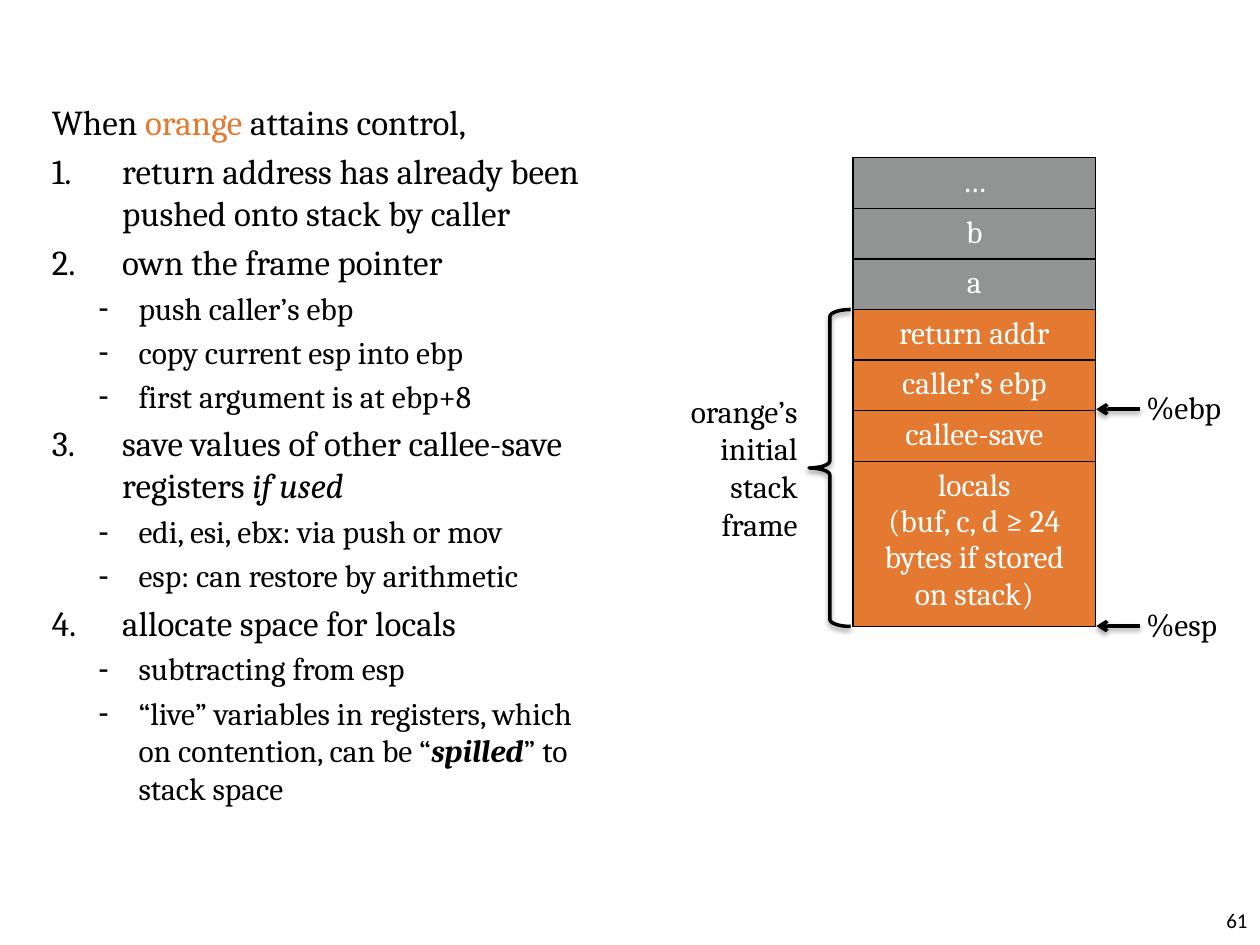
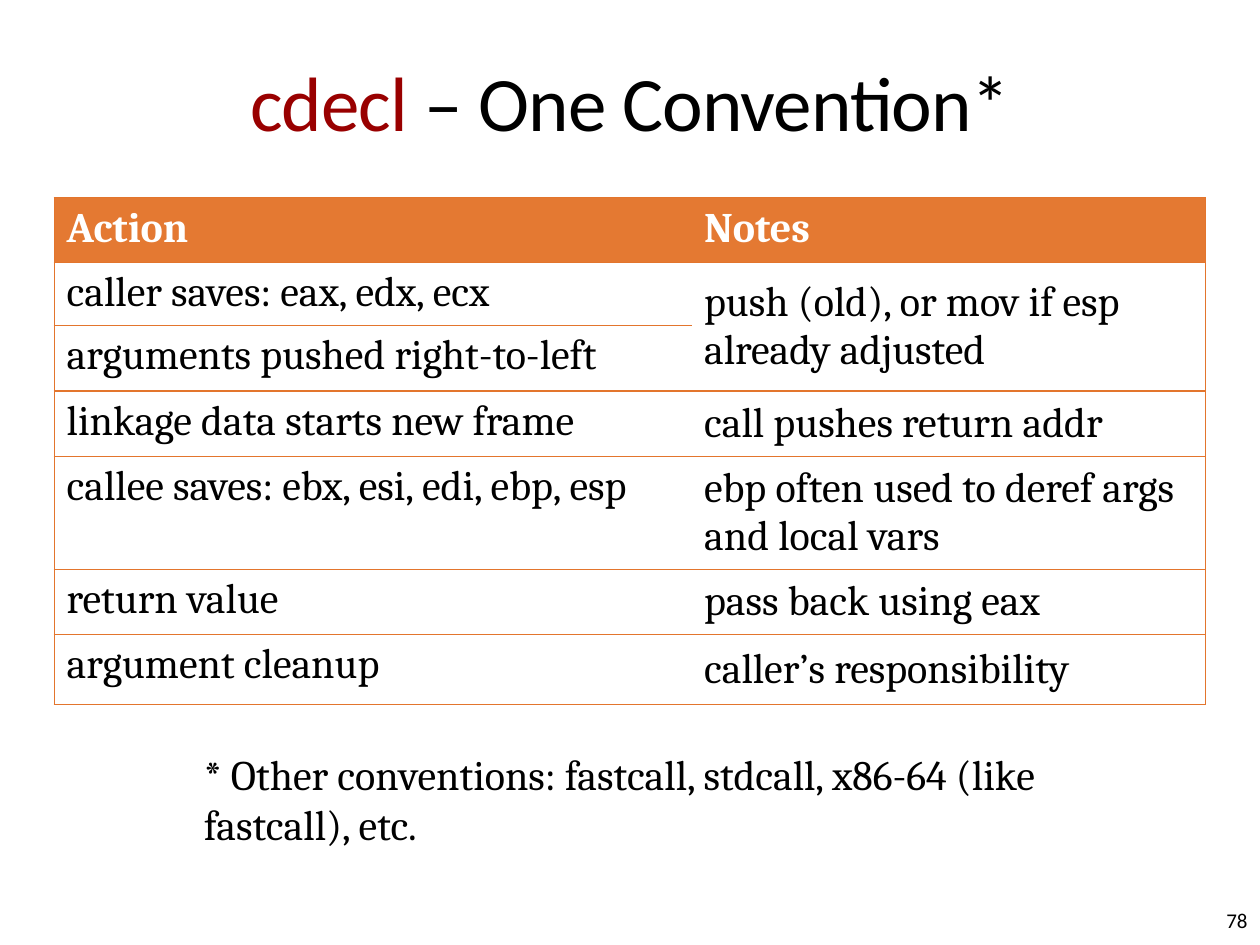
from lxml import etree
from pptx import Presentation
from pptx.dml.color import RGBColor
from pptx.enum.shapes import MSO_CONNECTOR, MSO_SHAPE
from pptx.enum.text import MSO_ANCHOR, MSO_AUTO_SIZE, PP_ALIGN
from pptx.oxml import parse_xml
from pptx.oxml.ns import nsdecls, qn
from pptx.util import Cm, Pt

BLACK, WHITE, GRAY, ORANGE = "000000", "FFFFFE", "929393", "E47932"
RULE, RED = "E3752D", "990000"
SERIF, SANS = "Cambria", "Calibri"

# Each step is a level and its runs: (text, color, style).
STEPS = [
    ("intro", [("When ", BLACK, ""), ("orange", ORANGE, ""),
               (" attains control,", BLACK, "")]),
    ("number", [("return address has already been pushed onto stack by caller", BLACK, "")]),
    ("number", [("own the frame pointer", BLACK, "")]),
    ("dash", [("push caller’s ebp", BLACK, "")]),
    ("dash", [("copy current esp into ebp", BLACK, "")]),
    ("dash", [("first argument is at ebp+8", BLACK, "")]),
    ("number", [("save values of other callee-save registers ", BLACK, ""),
                ("if used", BLACK, "i")]),
    ("dash", [("edi, esi, ebx: via push or mov", BLACK, "")]),
    ("dash", [("esp: can restore by arithmetic", BLACK, "")]),
    ("number", [("allocate space for locals", BLACK, "")]),
    ("dash", [("subtracting from esp", BLACK, "")]),
    ("dash", [("“live” variables in registers, which on contention, can be “", BLACK, ""),
              ("spilled", BLACK, "bi"), ("” to stack space", BLACK, "")]),
]
# Level: outline level, size, left margin, first-line indent, bullet XML.
LEVELS = {
    "intro": (0, 20, 0.81, -0.81, "<a:buNone {}/>"),
    "number": (0, 20, 1.42, -1.42, '<a:buAutoNum {} type="arabicPeriod"/>'),
    "dash": (1, 18, 1.75, -0.81, '<a:buChar {} char="-"/>'),
}
STACK = [
    ("…", GRAY), ("b", GRAY), ("a", GRAY), ("return addr", ORANGE),
    ("caller’s ebp", ORANGE), ("callee-save", ORANGE),
    ("locals\n(buf, c, d ≥ 24 bytes if stored on stack)", ORANGE),
]
STACK_LEFT, STACK_TOP, STACK_WIDTH = 17.2, 3.18, 4.88
SLOT, LOCALS_HEIGHT = 1.02, 3.33
CONVENTION = [
    ("Action", "Notes"),
    ("caller saves: eax, edx, ecx", "push (old), or mov if esp already adjusted"),
    ("arguments pushed right-to-left", ""),
    ("linkage data starts new frame", "call pushes return addr"),
    ("callee saves: ebx, esi, edi, ebp, esp", "ebp often used to deref args and local vars"),
    ("return value", "pass back using eax"),
    ("argument cleanup", "caller’s responsibility"),
]


def rgb(color):
    return RGBColor.from_string(color)


def style_run(r, size, color=BLACK, font=SERIF, style=""):
    r.font.size = Pt(size)
    r.font.name = font
    r.font.color.rgb = rgb(color)
    r.font.bold = "b" in style
    r.font.italic = "i" in style


def style_text(tf, size, color=BLACK, font=SERIF, align=PP_ALIGN.LEFT, style=""):
    for p in tf.paragraphs:
        p.alignment = align
        for r in p.runs:
            style_run(r, size, color, font, style)


def place(sp, left, top, width, height):
    sp.left, sp.top, sp.width, sp.height = Cm(left), Cm(top), Cm(width), Cm(height)


def add_label(s, text, left, top, width, height, size=18, wrap=False, **look):
    tf = s.shapes.add_textbox(Cm(left), Cm(top), Cm(width), Cm(height)).text_frame
    tf.word_wrap = wrap
    tf.text = text
    style_text(tf, size, **look)
    return tf


def add_page_number(s, number):
    tf = add_label(s, str(number), 23.7, 18.03, 1.7, 1.02, 12, True,
                   font=SANS, align=PP_ALIGN.RIGHT)
    tf.vertical_anchor = MSO_ANCHOR.MIDDLE


def style_stroke(sp):
    """Give a black 2 pt line with a soft shadow below it."""
    sp.line.color.rgb = rgb(BLACK)
    sp.line.width = Pt(2)
    sp._element.spPr.append(parse_xml(
        f'<a:effectLst {nsdecls("a")}><a:outerShdw blurRad="{Pt(3.1)}" dist="{Pt(1.6)}" '
        f'dir="5400000" rotWithShape="0"><a:srgbClr val="{BLACK}"><a:alpha val="38000"/>'
        '</a:srgbClr></a:outerShdw></a:effectLst>'))


def add_register(s, name, top):
    """Add a register name with an arrow to the stack."""
    add_label(s, name, 22.86, top, 2.1, 1.02)
    y = Cm(top + 0.55)
    line = s.shapes.add_connector(MSO_CONNECTOR.STRAIGHT, Cm(22.99), y, Cm(22.1), y)
    style_stroke(line)
    etree.SubElement(line.line._get_or_add_ln(), qn("a:tailEnd"), type="arrow")


def set_borders(cell, sides, color, width):
    """Draw the named sides (of L, R, T, B) and hide the others."""
    tcPr = cell._tc.get_or_add_tcPr()
    for i, side in enumerate("LRTB"):
        ln = etree.Element(qn(f"a:ln{side}"), w=str(Pt(width)))
        if side in sides:
            fill = etree.SubElement(ln, qn("a:solidFill"))
            etree.SubElement(fill, qn("a:srgbClr"), val=color)
        else:
            etree.SubElement(ln, qn("a:noFill"))
        tcPr.insert(i, ln)


def add_plain_table(s, left, top, widths, heights):
    table = s.shapes.add_table(len(heights), len(widths), Cm(left), Cm(top),
                               Cm(sum(widths)), Cm(sum(heights))).table
    table.first_row = table.horz_banding = False
    for column, width in zip(table.columns, widths):
        column.width = Cm(width)
    for row, height in zip(table.rows, heights):
        row.height = Cm(height)
    return table


def fill_cell(cell, text, fill, size, **look):
    cell.text = text
    style_text(cell.text_frame, size, **look)
    if fill:
        cell.fill.solid()
        cell.fill.fore_color.rgb = rgb(fill)
    else:
        cell.fill.background()


def write_steps(body):
    tf = body.text_frame
    tf.auto_size = MSO_AUTO_SIZE.NONE
    for i, (kind, runs) in enumerate(STEPS):
        level, size, margin, indent, bullet = LEVELS[kind]
        p = tf.paragraphs[0] if i == 0 else tf.add_paragraph()
        p.level = level
        pPr = p._p.get_or_add_pPr()
        pPr.set("marL", str(Cm(margin)))
        pPr.set("indent", str(Cm(indent)))
        pPr.append(parse_xml(bullet.format(nsdecls("a"))))
        p.space_before = Pt(0.2 * size if i else 0)
        for text, color, style in runs:
            r = p.add_run()
            r.text = text
            style_run(r, size, color, style=style)


def add_stack(s):
    heights = [SLOT] * (len(STACK) - 1) + [LOCALS_HEIGHT]
    table = add_plain_table(s, STACK_LEFT, STACK_TOP, [STACK_WIDTH], heights)
    for i, (text, fill) in enumerate(STACK):
        cell = table.cell(i, 0)
        fill_cell(cell, text, fill, 18, color=WHITE, align=PP_ALIGN.CENTER)
        set_borders(cell, "LRTB", BLACK, 1)


def add_frame_brace(s):
    brace = s.shapes.add_shape(MSO_SHAPE.LEFT_BRACE, Cm(16.31), Cm(STACK_TOP + 3 * SLOT),
                               Cm(0.84), Cm(3 * SLOT + LOCALS_HEIGHT))
    brace.adjustments[0] = 0.17
    brace.fill.background()
    style_stroke(brace)
    add_label(s, "orange’s\vinitial\vstack\vframe", 13.49, 7.77, 2.84, 3.28,
              align=PP_ALIGN.RIGHT)


def add_stack_slide(prs):
    s = prs.slides.add_slide(prs.slide_layouts.get_by_name("Title and Content"))
    title = s.shapes.title._element
    title.getparent().remove(title)
    body = s.placeholders[1]
    place(body, 0.79, 1.9, 11.66, 16.18)
    write_steps(body)
    add_page_number(s, 61)
    add_stack(s)
    add_register(s, "%ebp", 7.7)
    add_register(s, "%esp", 12.07)
    add_frame_brace(s)


def write_title(s):
    title = s.shapes.title
    place(title, 1.27, 0.43, 22.86, 3.18)
    tf = title.text_frame
    tf.auto_size = MSO_AUTO_SIZE.NONE
    tf.vertical_anchor = MSO_ANCHOR.MIDDLE
    tf.margin_left = tf.margin_right = 0
    p = tf.paragraphs[0]
    p.alignment = PP_ALIGN.CENTER
    for text, color in [("cdecl ", RED), ("– One Convention*", BLACK)]:
        r = p.add_run()
        r.text = text
        style_run(r, 44, color, SANS)
        r.font._element.set("spc", "-50")


def add_convention_table(s):
    table = add_plain_table(s, 1.09, 3.99, [12.85, 10.36],
                            [1.3, 1.27, 1.32, 1.32, 2.24, 1.3, 1.42])
    for i, row in enumerate(CONVENTION):
        header = i == 0
        for j, text in enumerate(row):
            cell = table.cell(i, j)
            fill_cell(cell, text, ORANGE if header else None, 24,
                      color=WHITE if header else BLACK, style="b" if header else "")
            if j == 1 and not header:
                cell.vertical_anchor = MSO_ANCHOR.MIDDLE
            set_borders(cell, "LTB" if j == 0 else "RTB", RULE, 0.75)
    table.cell(1, 1).merge(table.cell(2, 1))


def add_convention_slide(prs):
    s = prs.slides.add_slide(prs.slide_layouts.get_by_name("Title Only"))
    write_title(s)
    add_page_number(s, 78)
    add_convention_table(s)
    add_label(s, "* Other conventions: fastcall, stdcall, x86-64 (like fastcall), etc.",
              3.86, 14.96, 17.68, 2.31, 24, True)


def main():
    prs = Presentation()
    prs.slide_width, prs.slide_height = Cm(25.4), Cm(19.05)
    add_stack_slide(prs)
    add_convention_slide(prs)
    prs.save("out.pptx")


if __name__ == "__main__":
    main()
